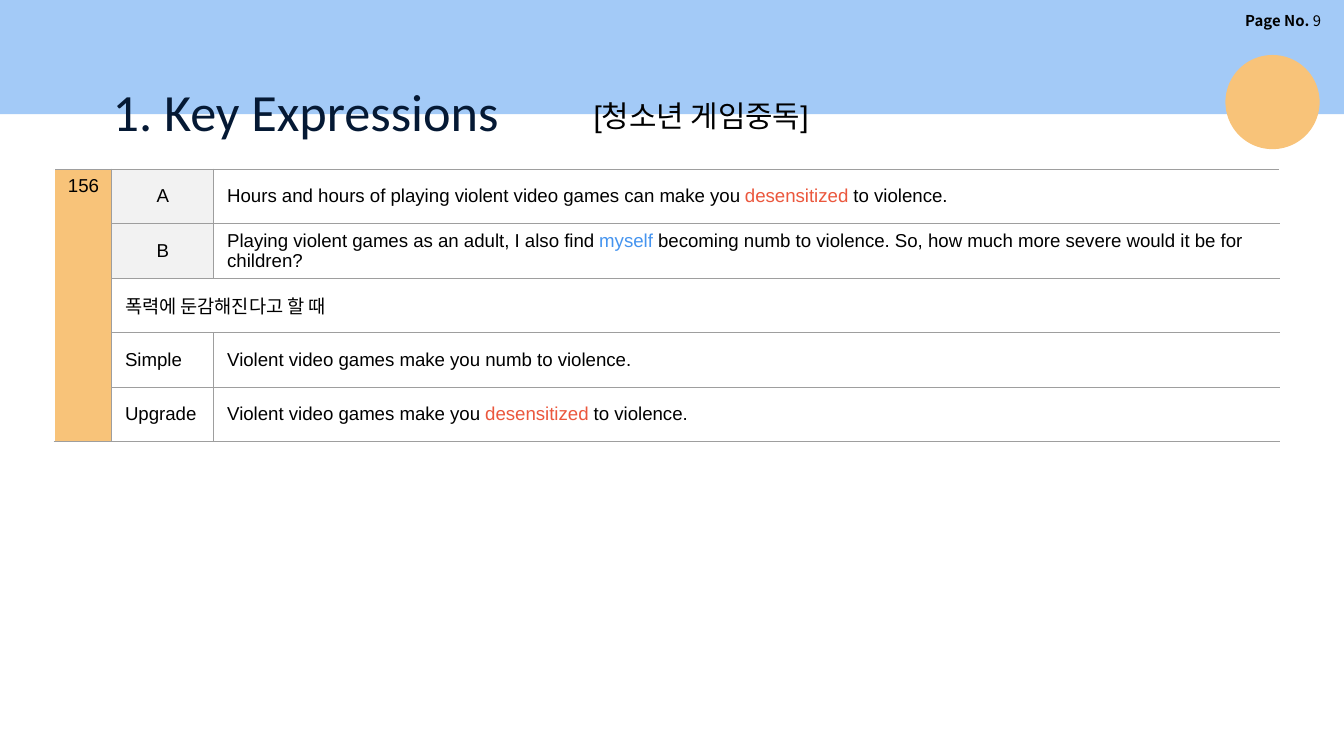
from dataclasses import dataclass

from lxml import etree
from pptx import Presentation
from pptx import util as u
from pptx.dml import color
from pptx.enum import shapes, text
from pptx.oxml import ns


@dataclass(frozen=True)
class Theme:
    sky: str = "A3CAF7"
    amber: str = "F8C379"
    label: str = "F2F2F2"
    grid: str = "9E9E9E"
    white: str = "FFFFFF"
    navy: str = "051934"
    ink: str = "000000"
    red: str = "EB573D"
    blue: str = "4594EF"
    body_font: str = "Arial"
    title_font: str = "Calibri"
    page_font: str = "Noto Sans CJK KR"
    title_size: int = 28
    topic_size: int = 16
    body_size: int = 10
    page_size: int = 8


THEME = Theme()
ROW_LABELS = ["A", "B", "폭력에 둔감해진다고 할 때", "Simple", "Upgrade"]
NOTE_ROW = 2
# Each sentence is a list of (words, colour)
SENTENCES = {
    0: [("Hours and hours of playing violent video games can make you ", THEME.ink),
        ("desensitized ", THEME.red), ("to violence.", THEME.ink)],
    1: [("Playing violent games as an adult, I also find ", THEME.ink),
        ("myself", THEME.blue),
        (" becoming numb to violence. So, how much more severe would it be "
         "for children?", THEME.ink)],
    3: [("Violent video games make you numb to violence.", THEME.ink)],
    4: [("Violent video games make you ", THEME.ink),
        ("desensitized", THEME.red), (" to violence.", THEME.ink)],
}


def rgb(value):
    return color.RGBColor.from_string(value)


def lengths(box):
    return [u.Cm(value) for value in box]


def write(para, spans, font, size, align=text.PP_ALIGN.LEFT):
    """Fill a paragraph with coloured spans in one font."""
    para.alignment = align
    para.font.name, para.font.size = font, u.Pt(size)
    if len({tint for _, tint in spans}) == 1:
        para.font.color.rgb = rgb(spans[0][1])
    for words, tint in spans:
        span = para.add_run()
        span.text = words
        if len(spans) > 1:
            span.font.color.rgb = rgb(tint)


def add_plain_shape(page, kind, box, fill):
    shape = page.shapes.add_shape(kind, *lengths(box))
    shape.shadow.inherit = False
    shape.fill.solid()
    shape.fill.fore_color.rgb = rgb(fill)
    shape.line.fill.background()
    return shape


def add_text_box(page, box):
    frame = page.shapes.add_textbox(*lengths(box)).text_frame
    frame.word_wrap = True
    return frame.paragraphs[0]


def set_borders(cell, sides):
    """Draw cell edges; sides maps L, R, T, B to (colour, points)."""
    properties = cell._tc.get_or_add_tcPr()
    for side, (tint, points) in sides.items():
        line = etree.SubElement(properties, ns.qn(f"a:ln{side}"), w=str(u.Pt(points)))
        fill = etree.SubElement(line, ns.qn("a:solidFill"))
        etree.SubElement(fill, ns.qn("a:srgbClr"), val=tint)


def build_header(page, box):
    left, top, width, height = box
    band = add_plain_shape(page, shapes.MSO_SHAPE.RECTANGLE, box, THEME.sky)

    # Page number
    para = add_text_box(page, (left + width - 3.86, top + 0.1, 3.68, 0.58))
    write(para, [("Page No. ", THEME.ink), ("9", THEME.ink)],
          THEME.page_font, THEME.page_size, text.PP_ALIGN.RIGHT)
    para.runs[0].font.bold = True

    # Title, stacked in front of the band
    title = page.shapes.title
    band._element.addnext(title._element)
    title.left, title.top, title.width, title.height = lengths(
        (left + 1.88, top + 1.24, 9.09, 1.6))
    frame = title.text_frame
    frame.auto_size = text.MSO_AUTO_SIZE.NONE
    frame.vertical_anchor = text.MSO_ANCHOR.TOP
    frame.margin_left = frame.margin_right = u.Cm(0.25)
    frame.margin_top = frame.margin_bottom = u.Cm(0.25)
    write(frame.paragraphs[0], [("1. Key Expressions", THEME.navy)],
          THEME.title_font, THEME.title_size)

    # Accent circle and topic, both straddling the band's lower edge
    add_plain_shape(page, shapes.MSO_SHAPE.OVAL,
                    (left + width - 2.24, top + height - 1.12, 1.78, 1.78), THEME.amber)
    para = add_text_box(page, (left + 10.97, top + height - 0.43, 5.08, 0.94))
    write(para, [("[청소년 게임중독]", THEME.ink)], THEME.body_font, THEME.topic_size)


def build_expression_table(page, box):
    rows, columns = len(ROW_LABELS), 3
    table = page.shapes.add_table(rows, columns, *lengths(box)).table
    table.first_row = table.horz_banding = False
    number_width, label_width = 1.08, 1.93
    widths = (number_width, label_width, box[2] - number_width - label_width)
    for column, width in zip(table.columns, widths):
        column.width = u.Cm(width)
    for row in table.rows:
        row.height = u.Cm(box[3] / rows)

    # Borders, fills and margins
    grid, outer = (THEME.grid, 0.75), (THEME.white, 1)
    for row in range(rows):
        for column in range(columns):
            cell = table.cell(row, column)
            at_right = column == columns - 1 or (row == NOTE_ROW and column == 1)
            set_borders(cell, {"L": outer if column == 0 else grid,
                               "R": outer if at_right else grid,
                               "T": grid, "B": grid})
            speaker = column == 1 and row < NOTE_ROW
            fill = THEME.amber if column == 0 else THEME.label if speaker else None
            if fill:
                cell.fill.solid()
                cell.fill.fore_color.rgb = rgb(fill)
            else:
                cell.fill.background()
            cell.margin_top = u.Cm(0.13 if column == 0 else 0.08)
            cell.margin_bottom = u.Cm(0.08)
            cell.text_frame.paragraphs[0].font.size = u.Pt(THEME.body_size)

    # Entry number down the side, note across both text columns
    number = table.cell(0, 0)
    number.merge(table.cell(rows - 1, 0))
    number.margin_right = u.Cm(0)
    table.cell(NOTE_ROW, 1).merge(table.cell(NOTE_ROW, 2))
    write(number.text_frame.paragraphs[0], [("156", THEME.ink)],
          THEME.body_font, THEME.body_size)

    # Labels and sentences
    for row, label in enumerate(ROW_LABELS):
        align = text.PP_ALIGN.CENTER if row < NOTE_ROW else text.PP_ALIGN.LEFT
        entries = [(1, [(label, THEME.ink)], align)]
        if row in SENTENCES:
            entries.append((2, SENTENCES[row], text.PP_ALIGN.LEFT))
        for column, spans, alignment in entries:
            cell = table.cell(row, column)
            cell.vertical_anchor = text.MSO_ANCHOR.MIDDLE
            write(cell.text_frame.paragraphs[0], spans,
                  THEME.body_font, THEME.body_size, alignment)


def main():
    deck = Presentation()
    deck.slide_width, deck.slide_height = u.Cm(25.4), u.Cm(14.29)
    page = deck.slides.add_slide(deck.slide_layouts.get_by_name("Title Only"))
    build_header(page, (0, 0, 25.4, 2.16))
    build_expression_table(page, (1.03, 3.2, 23.15, 5.15))
    deck.save("out.pptx")


if __name__ == "__main__":
    main()
